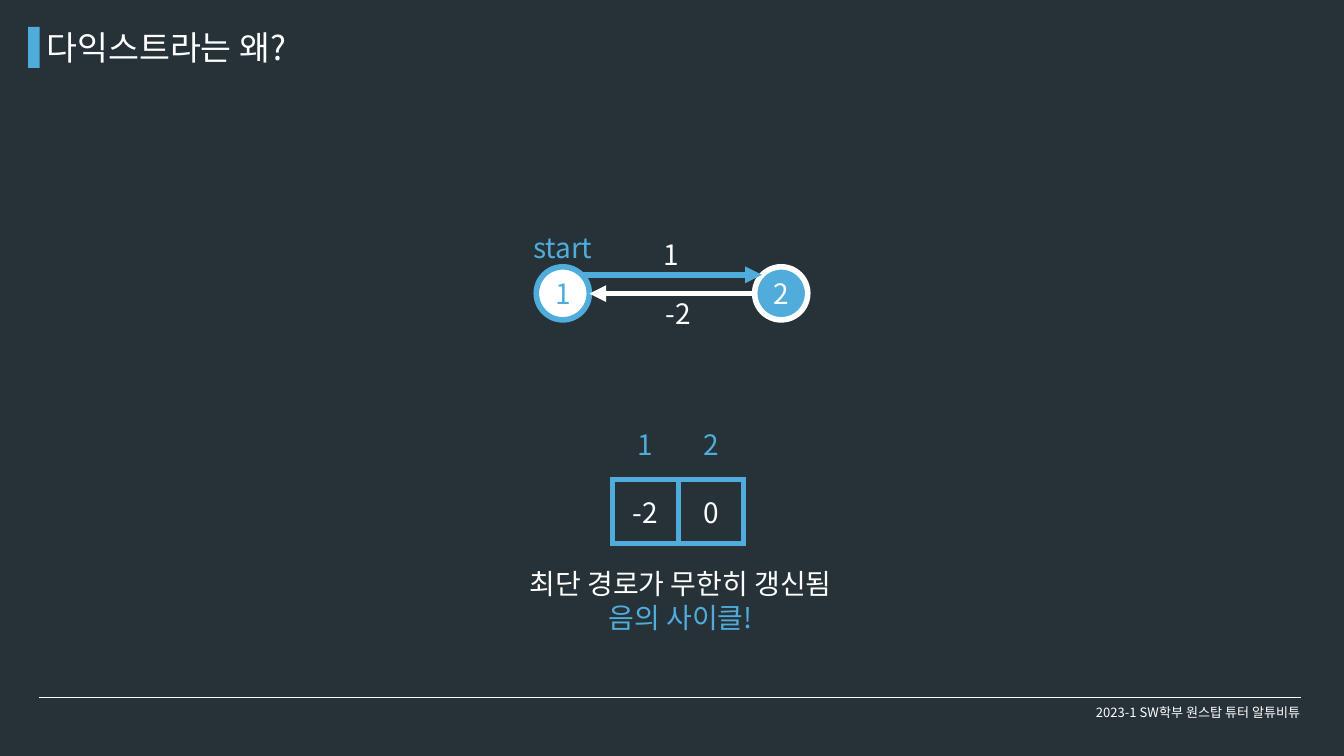
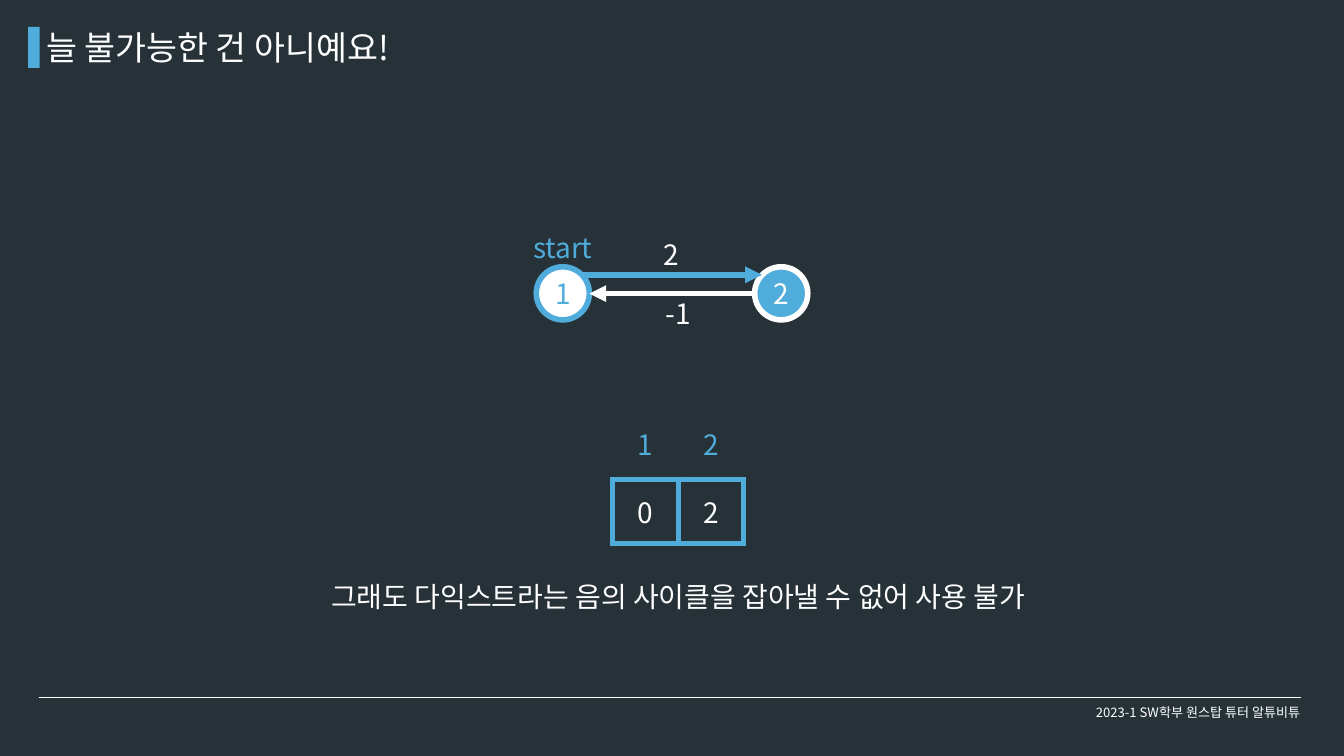
from lxml.etree import SubElement
from pptx import Presentation
from pptx.dml.color import RGBColor
from pptx.enum.shapes import MSO_CONNECTOR, MSO_SHAPE
from pptx.enum.text import MSO_ANCHOR, PP_ALIGN
from pptx.oxml import parse_xml
from pptx.oxml.ns import nsdecls, qn
from pptx.util import Inches, Pt

COLORS = {name: RGBColor.from_string(code) for name, code in {
    "back": "263238", "blue": "4FACDB", "white": "FFFFFF"}.items()}
FONT = "Noto Sans CJK KR"
FOOTER = "2023-1 SW학부 원스탑 튜터 알튜비튜"
NO_GRID = "{2D5ABB26-0587-4C30-8999-92F81FD0307C}"
CELL_W, CELL_H, NODE = 0.98, 0.96, 0.79

# title, outward weight, return weight, distances, note box, note lines
PAGES = [
    ("다익스트라는 왜?", "1", "-2", ["-2", "0"], (6.98, 8.38, 6.3, 1.11),
     [("최단 경로가 무한히 갱신됨", "white"), ("음의 사이클!", "blue")]),
    ("늘 불가능한 건 아니예요!", "2", "-1", ["0", "2"], (4.41, 8.57, 11.37, 0.61),
     [("그래도 다익스트라는 음의 사이클을 잡아낼 수 없어 사용 불가", "white")]),
]


def write(frame, lines, size=30, align=PP_ALIGN.CENTER, anchor=MSO_ANCHOR.TOP):
    """Fill a text frame with (text, colour) lines."""
    frame.text = "\n".join(text for text, _ in lines)
    frame.vertical_anchor = anchor
    for para, (_, color) in zip(frame.paragraphs, lines):
        para.alignment = align
        para.font.size = Pt(size)
        para.font.name = FONT
        para.font.color.rgb = COLORS[color]
        SubElement(para.font._element, qn("a:ea"), typeface=FONT)


def link(slide, start, end, color, width, arrow=True):
    line = slide.shapes.add_connector(
        MSO_CONNECTOR.STRAIGHT, *[Inches(n) for n in (*start, *end)])
    line.line.color.rgb = COLORS[color]
    line.line.width = Pt(width)
    if arrow:
        SubElement(line.line._get_or_add_ln(), qn("a:tailEnd"), type="triangle")
    SubElement(line._element.spPr, qn("a:effectLst"))
    return line


prs = Presentation()
prs.slide_width, prs.slide_height = Inches(20), Inches(11.25)
fill = prs.slide_master.background.fill
fill.solid()
fill.fore_color.rgb = COLORS["back"]

layout = prs.slide_layouts.get_by_name("Title Only")
head = layout.placeholders[0]
head.left, head.top, head.width, head.height = [
    Inches(n) for n in (0.59, 0.35, 9.5, 0.71)]
slides = [prs.slides.add_slide(layout) for _ in PAGES]

# The rule and the title bar are drawn once, then moved to the layout
rule = link(slides[0], (0.58, 10.38), (19.36, 10.38), "white", 0.75, arrow=False)
bar = slides[0].shapes.add_shape(
    MSO_SHAPE.RECTANGLE, *[Inches(n) for n in (0.42, 0.4, 0.17, 0.61)])
bar.shadow.inherit = False
bar.fill.solid()
bar.fill.fore_color.rgb = COLORS["blue"]
bar.line.fill.background()
for part in (rule, bar):
    layout.shapes.element.append(part._element)

for slide, (title, out, back, costs, area, note) in zip(slides, PAGES):
    shapes = slide.shapes
    write(shapes.title.text_frame, [(title, "white")], 36, PP_ALIGN.LEFT)

    # Distances, with the node numbers above them
    for top, values, color, framed in (
            (7.13, costs, "white", True), (6.12, ["1", "2"], "blue", False)):
        frame = shapes.add_table(1, 2, Inches(9.11), Inches(top),
                                 Inches(2 * CELL_W), Inches(CELL_H))
        table = frame.table
        table.first_row = table.horz_banding = False
        table._tbl.tblPr.find(qn("a:tableStyleId")).text = NO_GRID
        for cell, value in zip(table.iter_cells(), values):
            write(cell.text_frame, [(value, color)])
            cell.vertical_anchor = MSO_ANCHOR.MIDDLE
            for side in "LRTB" if framed else "":
                cell._tc.get_or_add_tcPr().append(parse_xml(
                    f'<a:ln{side} {nsdecls("a")} w="{Pt(6)}"><a:solidFill>'
                    f'<a:srgbClr val="{COLORS["blue"]}"/></a:solidFill></a:ln{side}>'))
            cell.fill.background()

    # Graph
    for left, name, inner, edge in (
            (7.98, "1", "white", "blue"), (11.23, "2", "blue", "white")):
        node = shapes.add_shape(MSO_SHAPE.OVAL, Inches(left), Inches(3.97),
                                Inches(NODE), Inches(NODE))
        node.shadow.inherit = False
        node.fill.solid()
        node.fill.fore_color.rgb = COLORS[inner]
        node.line.color.rgb = COLORS[edge]
        node.line.width = Pt(6)
        write(node.text_frame, [(name, edge)], anchor=MSO_ANCHOR.MIDDLE)
    link(slide, (8.66, 4.09), (11.34, 4.09), "blue", 6)
    link(slide, (11.23, 4.37), (8.77, 4.37), "white", 6)

    for box, lines, wrap in (
            ((9.77, 3.49, 0.46, 0.61), [(out, "white")], False),
            ((9.81, 4.36, 0.64, 0.61), [(back, "white")], False),
            ((7.43, 3.38, 1.89, 0.61), [("start", "blue")], True),
            (area, note, True)):
        text = shapes.add_textbox(*[Inches(n) for n in box]).text_frame
        text.word_wrap = wrap
        write(text, lines, align=PP_ALIGN.CENTER if wrap else PP_ALIGN.LEFT)

    foot = shapes.add_textbox(Inches(15.83), Inches(10.31), Inches(4), Inches(0.57))
    foot.text_frame.word_wrap = True
    write(foot.text_frame, [(FOOTER, "white")], 14, anchor=MSO_ANCHOR.MIDDLE)

prs.save("out.pptx")
